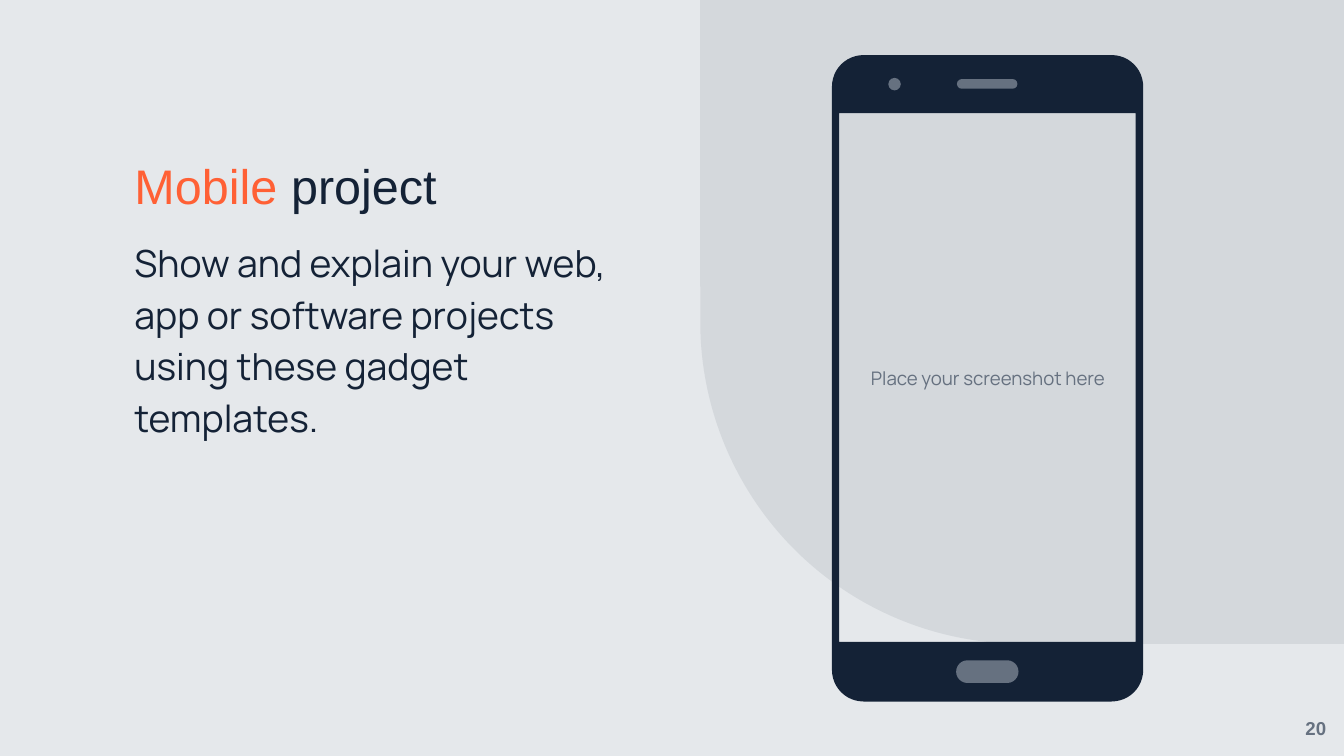
from dataclasses import dataclass
from math import cos, pi, sin

from lxml.etree import SubElement
from pptx import Presentation
from pptx.dml.color import RGBColor
from pptx.enum.shapes import MSO_SHAPE
from pptx.enum.text import MSO_ANCHOR, PP_ALIGN
from pptx.oxml.ns import qn
from pptx.util import Inches, Pt


@dataclass(frozen=True)
class Theme:
    paper: str = "E5E8EB"
    navy: str = "142236"
    gray: str = "667180"
    accent: str = "FF6035"
    heading_font: str = "Arial"
    body_font: str = "Manrope"
    heading_size: int = 26
    body_size: int = 20
    small_size: int = 10


@dataclass(frozen=True)
class Area:
    column: float
    row: float
    columns: float
    rows: float

    def place(self) -> tuple[int, int, int, int]:
        return tuple(cells(n) for n in (self.column, self.row, self.columns, self.rows))


@dataclass(frozen=True)
class Span:
    text: str
    size: int
    font: str
    color: str
    bold: bool = False


@dataclass(frozen=True)
class Copy:
    area: Area
    spans: tuple[Span, ...]
    anchor: MSO_ANCHOR = MSO_ANCHOR.MIDDLE
    align: PP_ALIGN = PP_ALIGN.CENTER
    margin: float = 0
    line_spacing: float = 1.0
    space_before: int = 0


@dataclass(frozen=True)
class Part:
    kind: MSO_SHAPE
    area: Area
    color: str
    rounding: float | None = None
    rotation: int = 0
    opacity: int = 100


THEME = Theme()
GRID_COLUMNS, GRID_ROWS = 100, 56.25
CELL = Inches(10) / GRID_COLUMNS
CORNER_RADIUS = 2.35
CORNER_STEPS = 12

PANEL = Part(MSO_SHAPE.ROUND_1_RECTANGLE, Area(52.1, 0, 47.9, 47.9),
             THEME.navy, 0.5, 180, 8)
PHONE = Area(61.9, 4.1, 23.16, 48.1)
SCREEN = Area(62.43, 8.42, 22.07, 39.35)
PHONE_PARTS = (
    Part(MSO_SHAPE.ROUNDED_RECTANGLE, Area(71.14, 49.13, 4.64, 1.69), THEME.gray, 0.5),
    Part(MSO_SHAPE.OVAL, Area(66.1, 5.8, 0.93, 0.93), THEME.gray),
    Part(MSO_SHAPE.ROUNDED_RECTANGLE, Area(71.2, 5.88, 4.5, 0.72), THEME.gray, 0.5),
)
COPIES = (
    Copy(Area(10, 17.4, 37.9, 30.4),
         (Span("Show and explain your web, app or software projects using these "
               "gadget templates.", THEME.body_size, THEME.body_font, THEME.navy),),
         MSO_ANCHOR.TOP, PP_ALIGN.LEFT, line_spacing=1.15, space_before=6),
    Copy(Area(62.5, 8.6, 22, 39.1),
         (Span("Place your screenshot here", THEME.small_size, THEME.body_font,
               THEME.gray),), margin=1),
    Copy(Area(95.8, 52.1, 4.2, 4.15),
         (Span("20", THEME.small_size, THEME.heading_font, THEME.gray, True),)),
    Copy(Area(10, 9.1, 37.9, 6.9),
         (Span("Mobile", THEME.heading_size, THEME.heading_font, THEME.accent),
          Span(" project", THEME.heading_size, THEME.heading_font, THEME.navy)),
         MSO_ANCHOR.BOTTOM, PP_ALIGN.LEFT, line_spacing=0.9),
)


def cells(count: float) -> int:
    return round(count * CELL)


def paint(shape, color: str, opacity: int = 100) -> None:
    shape.shadow.inherit = False
    shape.line.fill.background()
    shape.fill.solid()
    shape.fill.fore_color.rgb = RGBColor.from_string(color)
    if opacity < 100:
        tint = next(shape._element.spPr.iter(qn("a:srgbClr")))
        SubElement(tint, qn("a:alpha")).set("val", str(opacity * 1000))


def draw_part(page, part: Part) -> None:
    shape = page.shapes.add_shape(part.kind, *part.area.place())
    if part.rounding is not None:
        shape.adjustments[0] = part.rounding
    shape.rotation = part.rotation
    paint(shape, part.color, part.opacity)


def rounded_outline(area: Area, radius: float) -> list[tuple[int, int]]:
    left, top = area.column + radius, area.row + radius
    right = area.column + area.columns - radius
    bottom = area.row + area.rows - radius
    centers = ((right, bottom), (left, bottom), (left, top), (right, top))
    points = []
    for quarter, (x, y) in enumerate(centers):
        for step in range(CORNER_STEPS + 1):
            angle = (quarter + step / CORNER_STEPS) * pi / 2
            points.append((cells(x + radius * cos(angle)), cells(y + radius * sin(angle))))
    return points


def draw_phone(page) -> None:
    outline = rounded_outline(PHONE, CORNER_RADIUS)
    left, top, width, height = SCREEN.place()
    builder = page.shapes.build_freeform(*outline[0])
    builder.add_line_segments(outline[1:], close=True)
    builder.move_to(left, top)
    builder.add_line_segments(
        [(left, top + height), (left + width, top + height), (left + width, top)], close=True)
    paint(builder.convert_to_shape(), THEME.navy)
    for part in PHONE_PARTS:
        draw_part(page, part)


def draw_copy(page, copy: Copy) -> None:
    box = page.shapes.add_textbox(*copy.area.place())
    frame = box.text_frame
    frame.word_wrap = True
    frame.vertical_anchor = copy.anchor
    frame.margin_left = frame.margin_right = cells(copy.margin)
    frame.margin_top = frame.margin_bottom = cells(copy.margin)
    para = frame.paragraphs[0]
    para.alignment = copy.align
    para.line_spacing = copy.line_spacing
    para.space_before = Pt(copy.space_before)
    for span in copy.spans:
        run = para.add_run()
        run.text = span.text
        run.font.name = span.font
        run.font.size = Pt(span.size)
        run.font.bold = span.bold
        run.font.color.rgb = RGBColor.from_string(span.color)


def main() -> None:
    deck = Presentation()
    deck.slide_width, deck.slide_height = cells(GRID_COLUMNS), cells(GRID_ROWS)
    page = deck.slides.add_slide(deck.slide_layouts[6])
    page.background.fill.solid()
    page.background.fill.fore_color.rgb = RGBColor.from_string(THEME.paper)
    draw_part(page, PANEL)
    draw_phone(page)
    for copy in COPIES:
        draw_copy(page, copy)
    deck.save("out.pptx")


if __name__ == "__main__":
    main()
